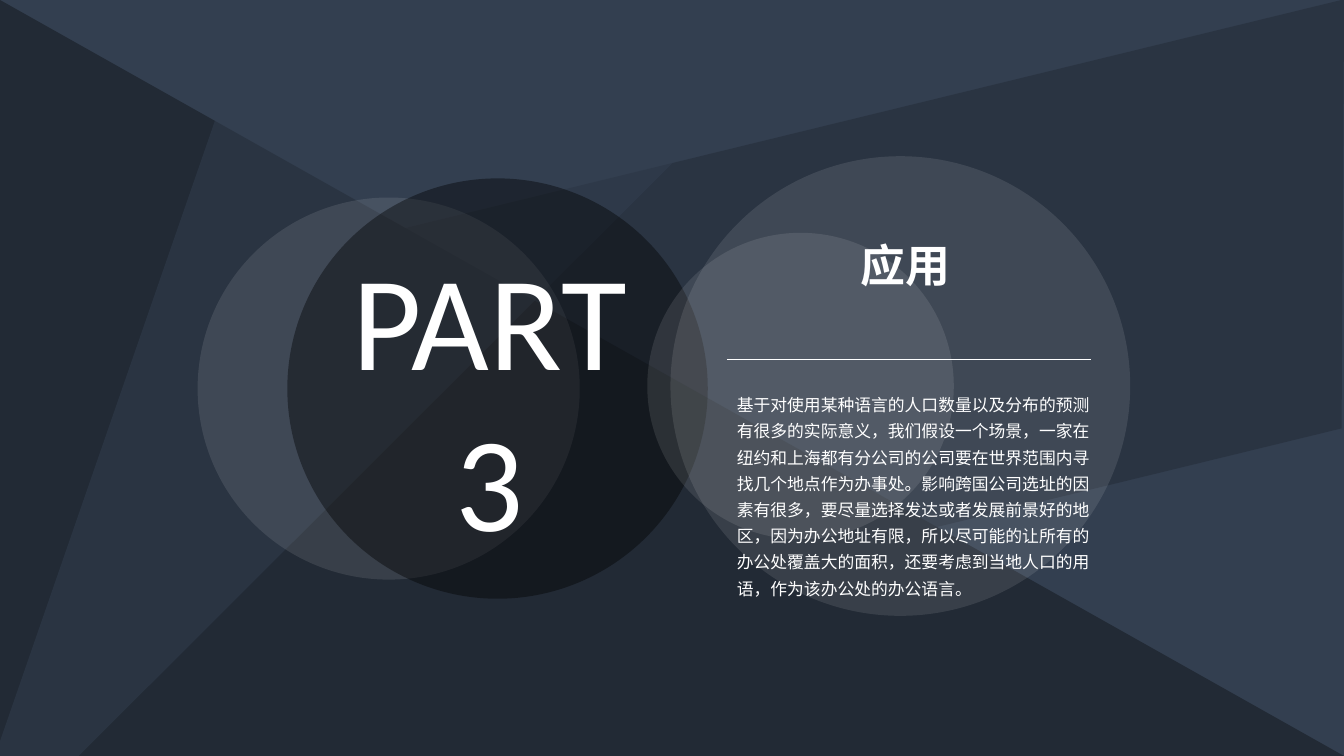
from lxml import etree
from pptx import Presentation, util as u
from pptx.dml.color import RGBColor
from pptx.enum import shapes, text
from pptx.oxml.ns import qn

COLORS = {
    "slate": "333F50",
    "night": "222A35",
    "white": "FFFFFF",
    "black": "000000",
}
LATIN = "Calibri"
HAN = "Noto Sans CJK SC"
KIND = shapes.MSO_SHAPE
ALIGN = text.PP_ALIGN
BODY = (
    "基于对使用某种语言的人口数量以及分布的预测有很多的实际意义，"
    "我们假设一个场景，一家在纽约和上海都有分公司的公司要在世界范围内寻找几个地点作为办事处。"
    "影响跨国公司选址的因素有很多，要尽量选择发达或者发展前景好的地区，"
    "因为办公地址有限，所以尽可能的让所有的办公处覆盖大的面积，"
    "还要考虑到当地人口的用语，作为该办公处的办公语言。"
)


def rgb(name):
    """Return the named colour."""
    return RGBColor.from_string(COLORS[name])


def add_pane(slide, kind, box, color, alpha=100, turn=0, adj=None):
    """Add a borderless shape; alpha is its opacity in percent."""
    pane = slide.shapes.add_shape(kind, *map(u.Inches, box))
    pane.shadow.inherit = False
    pane.line.fill.background()
    pane.fill.solid()
    pane.fill.fore_color.rgb = rgb(color)
    pane.rotation = turn
    if adj is not None:
        pane.adjustments[0] = adj
    if alpha < 100:
        tint = pane._element.spPr.find(qn("a:solidFill"))[0]
        etree.SubElement(tint, qn("a:alpha"), val=str(alpha * 1000))
    return pane


def add_disc(slide, left, top, size, color, alpha):
    """Add a translucent circle."""
    return add_pane(slide, KIND.OVAL, (left, top, size, size), color, alpha)


def put_text(shape, lines, size, font=HAN, bold=False, align=ALIGN.LEFT,
             gap=1.0):
    """Fill a shape with white paragraphs, one for each line."""
    frame = shape.text_frame
    frame.text = "\n".join(lines)
    frame.word_wrap = True
    frame.auto_size = text.MSO_AUTO_SIZE.NONE
    frame.vertical_anchor = text.MSO_ANCHOR.TOP
    for para in frame.paragraphs:
        para.alignment = align
        para.line_spacing = gap
        for run in para.runs:
            run.font.size = u.Pt(size)
            run.font.bold = bold
            run.font.name = font
            run.font.color.rgb = rgb("white")
            east = etree.SubElement(run._r.get_or_add_rPr(), qn("a:ea"))
            east.set("typeface", font)


def add_text(slide, box, lines, size, **form):
    """Add a formatted text box."""
    label = slide.shapes.add_textbox(*map(u.Inches, box))
    put_text(label, lines, size, **form)


def set_title(slide, box, words, size, **form):
    """Place the title in front of the shapes drawn so far."""
    title = slide.shapes.title
    title.left, title.top, title.width, title.height = map(u.Inches, box)
    put_text(title, [words], size, **form)
    slide.shapes._spTree.append(title._element)


def add_rule(slide, left, right, top):
    """Add a thin horizontal line."""
    ends = map(u.Inches, (left, top, right, top))
    rule = slide.shapes.add_connector(shapes.MSO_CONNECTOR.STRAIGHT, *ends)
    rule.line.color.rgb = rgb("white")
    rule.line.width = u.Pt(0.5)
    etree.SubElement(rule._element.spPr, qn("a:effectLst"))


def add_back(slide):
    """Paint the background and its slanted panes."""
    fill = slide.background.fill
    fill.solid()
    fill.fore_color.rgb = rgb("slate")
    add_pane(slide, KIND.ISOSCELES_TRIANGLE, (0, 0, 13.33, 7.5), "night",
             adj=0)
    add_pane(slide, KIND.PARALLELOGRAM, (-0.71, 1.68, 14.74, 4.13), "night",
             alpha=50, turn=346.3)
    add_pane(slide, KIND.ISOSCELES_TRIANGLE, (1.18, -1.16, 5.41, 11.12),
             "slate", alpha=50, turn=199.1, adj=1)


def main():
    """Build the section slide and save it."""
    deck = Presentation()
    deck.slide_width, deck.slide_height = u.Inches(13.33), u.Inches(7.5)
    slide = deck.slides.add_slide(deck.slide_layouts[5])
    add_back(slide)
    for disc in (
        (1.96, 1.96, 3.79, "white", 10),
        (2.85, 1.77, 4.17, "black", 40),
        (6.42, 2.31, 3.04, "white", 10),
        (6.65, 1.55, 4.56, "white", 10),
    ):
        add_disc(slide, *disc)
    add_text(slide, (3.27, 2.29, 3.17, 3.33), ["PART", "3"], 96, font=LATIN,
             align=ALIGN.CENTER)
    set_title(slide, (7.1, 2.31, 3.76, 0.64), "应用", 32, bold=True,
              align=ALIGN.CENTER)
    add_rule(slide, 7.21, 10.82, 3.57)
    add_text(slide, (7.21, 3.81, 3.82, 2.2), [BODY], 12, gap=1.3)
    deck.save("out.pptx")


main()
